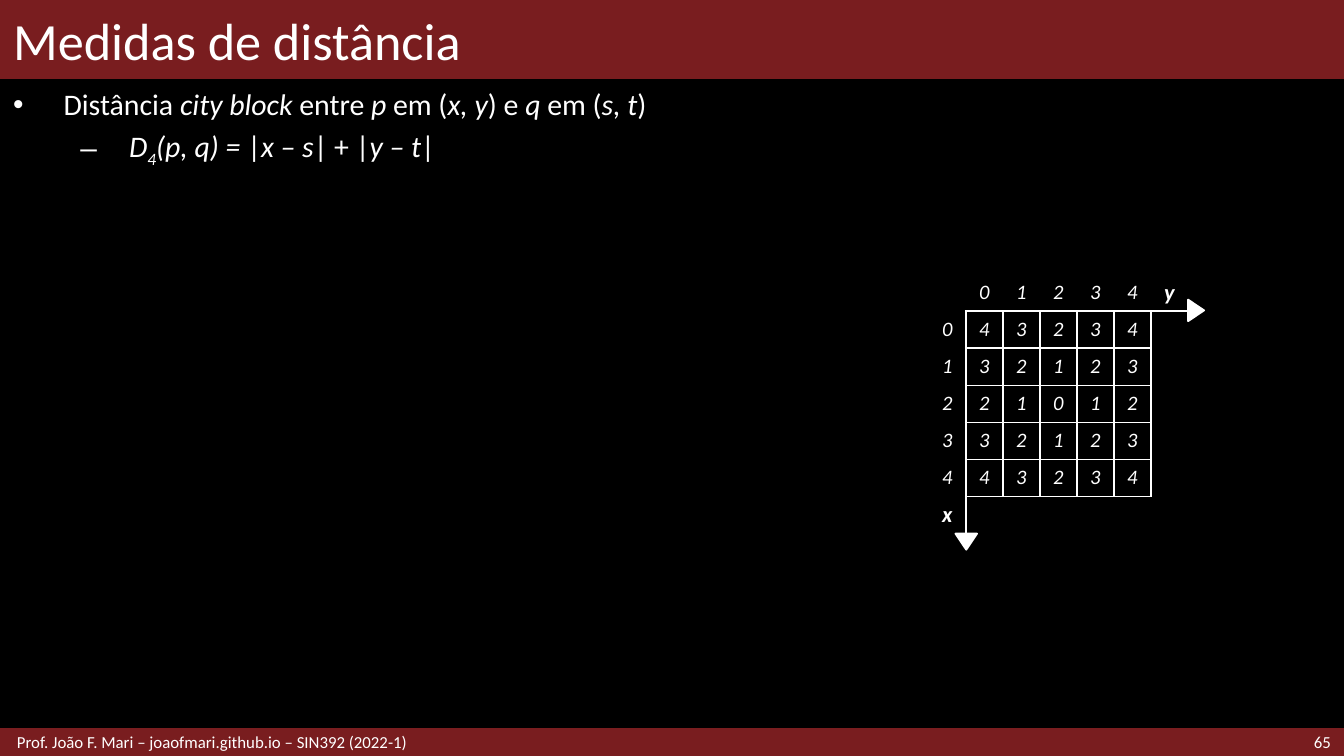
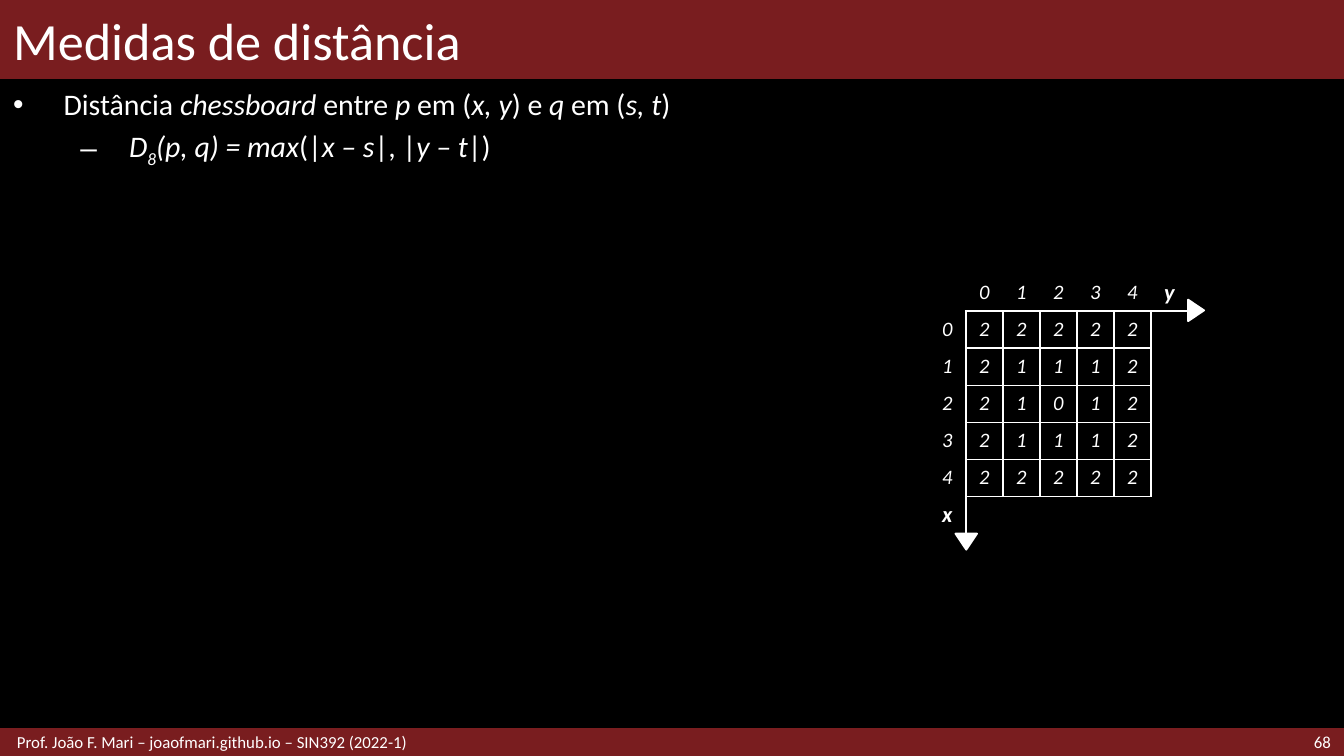
"""Build two slides on city block and chessboard distance."""
from lxml.etree import SubElement
from pptx import Presentation
from pptx.dml.color import RGBColor
from pptx.enum.shapes import MSO_SHAPE
from pptx.enum.text import MSO_ANCHOR, PP_ALIGN
from pptx.oxml.ns import qn
from pptx.util import Pt

RED = RGBColor(0x79, 0x1D, 0x1F)
BLACK = RGBColor(0, 0, 0)
WHITE = RGBColor(0xFF, 0xFF, 0xFF)
WIDE, HIGH = 720, 405
CELL, SIDE, MID = 19.85, 7, 3
LEFT, TOP = 497.5, 146.9

SLIDES = [
    ("65", "city block", " *D_4_(p, q) = *|*x – s*| + |*y – t*|", lambda a, b: a + b),
    ("68", "chessboard", " *D_8_(p, q) = max*(|*x – s*|, |*y – t*|)", max),
]
BANDS = [(0, 42.5, RED, 1), (390, 15, RED, 2), (42.5, 347, BLACK, 0.75)]
HEADS = [(635, 162, 90), (511.9, 285.9, 180)]
LEVELS = [("•", 0, 27, -27), ("–", 1, 58.5, -22.5)]


def draw(slide, kind, box, color, line):
    """Add a filled preset shape."""
    shape = slide.shapes.add_shape(kind, *map(Pt, box))
    shape.shadow.inherit = False
    shape.fill.solid()
    shape.fill.fore_color.rgb = shape.line.color.rgb = color
    shape.line.width = Pt(line)
    return shape


def write(para, text, size, **extra):
    """Add a run with the shared font."""
    run = para.add_run()
    run.text = text
    run.font.color.rgb = WHITE
    form = {"name": "Calibri", "size": Pt(size), **extra}
    for key, value in form.items():
        setattr(run.font, key, value)
    return run


deck = Presentation()
deck.slide_width, deck.slide_height = Pt(WIDE), Pt(HIGH)

for page, name, rule, join in SLIDES:
    slide = deck.slides.add_slide(deck.slide_layouts[6])
    for top, high, color, line in BANDS:
        body = draw(slide, MSO_SHAPE.RECTANGLE, (0, top, WIDE, high), color, line)

    labels = [
        ("Medidas de distância", (0, 0, WIDE, 42.5), 28, PP_ALIGN.LEFT),
        (page, (638, 389.8, 82, 15), 9, PP_ALIGN.RIGHT),
        (" Prof. João F. Mari – joaofmari.github.io – SIN392 (2022-1)",
         (0, 390, 496, 15), 9, PP_ALIGN.LEFT),
    ]
    for text, box, size, align in labels:
        frame = slide.shapes.add_textbox(*map(Pt, box)).text_frame
        frame.word_wrap = True
        frame.vertical_anchor = MSO_ANCHOR.MIDDLE
        frame.paragraphs[0].alignment = align
        write(frame.paragraphs[0], text, size)

    frame = body.text_frame
    frame.word_wrap = True
    frame.vertical_anchor = MSO_ANCHOR.TOP
    lines = [f"Distância *{name}* entre *p* em (*x, y*) e *q* em (*s, t*)", rule]
    for text, (mark, level, margin, indent) in zip(lines, LEVELS):
        para = frame.add_paragraph() if level else frame.paragraphs[0]
        para.alignment = PP_ALIGN.LEFT
        para.level = level
        if level:
            para.space_before = Pt(3.2)
        props = para._p.get_or_add_pPr()
        props.set("marL", str(Pt(margin)))
        props.set("indent", str(Pt(indent)))
        SubElement(props, qn("a:buFont"), typeface="Arial")
        SubElement(props, qn("a:buChar"), char=mark)
        for turn, part in enumerate(text.split("*")):
            for low, piece in enumerate(part.split("_")):
                run = write(para, piece, 16, italic=turn % 2 == 1)
                if low == 1:
                    run._r.get_or_add_rPr().set("baseline", "-25000")

    grid = {(0, SIDE - 1): "y", (SIDE - 1, 0): "x"}
    for i in range(1, SIDE - 1):
        grid[0, i] = grid[i, 0] = str(i - 1)
        for j in range(1, SIDE - 1):
            grid[i, j] = str(join(abs(i - MID), abs(j - MID)))

    span = CELL * SIDE
    table = slide.shapes.add_table(SIDE, SIDE, *map(Pt, (LEFT, TOP, span, span))).table
    table.first_row = table.horz_banding = False
    for i in range(SIDE):
        table.rows[i].height = table.columns[i].width = Pt(CELL)
        for j in range(SIDE):
            cell = table.cell(i, j)
            form = {"margin_left": 0, "margin_right": 0, "margin_top": 0,
                    "margin_bottom": 0, "vertical_anchor": MSO_ANCHOR.MIDDLE}
            for key, value in form.items():
                setattr(cell, key, value)
            para = cell.text_frame.paragraphs[0]
            para.alignment = PP_ALIGN.CENTER
            text = grid.get((i, j))
            if text:
                axis = text in "xy"
                write(para, text, 12 if axis else 11, italic=True, bold=axis)
            else:
                SubElement(para._p, qn("a:endParaRPr"), sz="1100")
            props = cell._tc.get_or_add_tcPr()
            edges = {"L": (j, i), "R": (j + 1, i), "T": (i, j), "B": (i + 1, j)}
            for side, (edge, lane) in edges.items():
                border = SubElement(props, qn(f"a:ln{side}"), w=str(Pt(1)))
                last = SIDE - 1 if edge == 1 else SIDE - 2
                if 1 <= edge < SIDE and 1 <= lane <= last:
                    fill = SubElement(border, qn("a:solidFill"))
                    SubElement(fill, qn("a:srgbClr"), val=str(WHITE))
                else:
                    SubElement(border, qn("a:noFill"))
            cell.fill.background()

    for left, top, turn in HEADS:
        head = draw(slide, MSO_SHAPE.ISOSCELES_TRIANGLE, (left, top, 11.5, 8.6), WHITE, 1)
        head.rotation = turn

deck.save("out.pptx")
